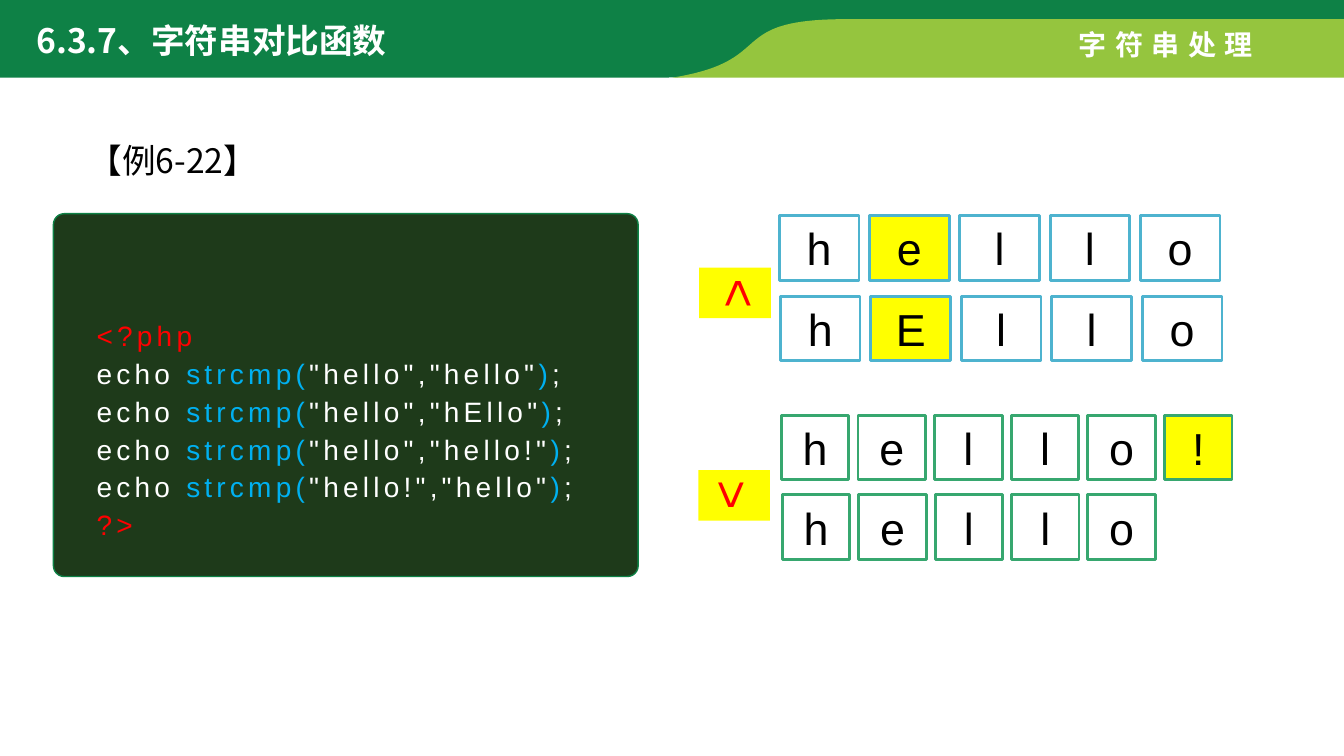
import pptx
import pptx.util
import pptx.oxml.ns
from pptx.dml.color import RGBColor
from pptx.enum.shapes import MSO_SHAPE
from pptx.enum.text import MSO_ANCHOR, MSO_AUTO_SIZE, PP_ALIGN
from lxml import etree

Inches = pptx.util.Inches
Pt = pptx.util.Pt

WHITE = RGBColor(0xFF, 0xFF, 0xFF)
BLACK = RGBColor(0x00, 0x00, 0x00)
RED = RGBColor(0xFF, 0x00, 0x00)
YELLOW = RGBColor(0xFF, 0xFF, 0x00)
SKY = RGBColor(0x00, 0xB0, 0xF0)
GREEN = RGBColor(0x0E, 0x81, 0x46)
LIME = RGBColor(0x95, 0xC5, 0x3E)
DARK = RGBColor(0x1E, 0x3A, 0x1A)
BLUE = RGBColor(0x4E, 0xB3, 0xCF)
MINT = RGBColor(0x37, 0xA7, 0x6F)
CJK = "Noto Sans CJK SC"

TITLE = "6.3.7、字符串对比函数"
TOPIC = "字符串处理"
LABEL = "【例6-22】"
CALLS = [
    '"hello","hello"',
    '"hello","hEllo"',
    '"hello","hello!"',
    '"hello!","hello"',
]
# word, marked index, first left, last left, top, width, line colour
ROWS = [
    ("hello", 1, 7.73, 11.31, 2.14, 0.79, BLUE),
    ("hEllo", 1, 7.74, 11.33, 2.94, 0.79, BLUE),
    ("hello!", 5, 7.75, 11.55, 4.12, 0.67, MINT),
    ("hello", None, 7.76, 10.79, 4.91, 0.67, MINT),
]
SIGNS = [(7.04, 2.55, 270), (7.03, 4.56, 90)]
BANDS = [
    (GREEN, [(0, -0.03), (13.33, -0.03), (13.33, 0.24), (8.27, 0.24), (8.09, 0.28)],
     [(7.27, 0.44), (7.7, 0.77), (6.55, 0.77)], [(0, 0.77)]),
    (LIME, [(8.39, 0.19), (13.33, 0.19), (13.33, 0.77), (6.67, 0.77)],
     [(7.73, 0.6), (7.17, 0.19), (8.39, 0.19)], []),
]


def curve(start, bend, count=40):
    knots = [start] + bend
    points = []
    for i in range(1, count + 1):
        t = i / count
        parts = ((1 - t) ** 3, 3 * t * (1 - t) ** 2, 3 * t * t * (1 - t), t ** 3)
        points.append(tuple(sum(w * k[axis] for w, k in zip(parts, knots))
                            for axis in (0, 1)))
    return points


def paint(shape, fill, line=None, width=1):
    shape.shadow.inherit = False
    shape.fill.solid()
    shape.fill.fore_color.rgb = fill
    if line is None:
        shape.line.fill.background()
    else:
        shape.line.color.rgb = line
        shape.line.width = Pt(width)


def write(shape, lines, size, font="Arial", bold=False, gap=0, wrap=True,
          align=PP_ALIGN.LEFT, anchor=MSO_ANCHOR.TOP, space=None):
    frame = shape.text_frame
    frame.word_wrap = wrap
    frame.auto_size = MSO_AUTO_SIZE.SHAPE_TO_FIT_TEXT
    frame.vertical_anchor = anchor
    for i, runs in enumerate(lines):
        para = frame.add_paragraph() if i else frame.paragraphs[0]
        para.alignment = align
        if space:
            para.line_spacing = space
        for words, color in runs:
            run = para.add_run()
            run.text = words
            run.font.size = Pt(size)
            run.font.bold = bold
            run.font.name = font
            run.font.color.rgb = color
            props = run.font._element
            if gap:
                props.set("spc", str(gap * 100))
            east = etree.SubElement(props, pptx.oxml.ns.qn("a:ea"))
            east.set("typeface", CJK)


deck = pptx.Presentation()
deck.slide_width, deck.slide_height = Inches(13.33), Inches(7.5)
slide = deck.slides.add_slide(deck.slide_layouts[5])
shapes = slide.shapes


def place(left, top, width, height):
    return [Inches(v) for v in (left, top, width, height)]


for color, head, bend, tail in BANDS:
    points = [(Inches(x), Inches(y)) for x, y in head + curve(head[-1], bend) + tail]
    pen = shapes.build_freeform(*points[0], scale=1.0)
    pen.add_line_segments(points[1:], close=True)
    paint(pen.convert_to_shape(), color)

topic = shapes.add_textbox(*place(10.6, 0.22, 2.03, 0.44))
write(topic, [[(TOPIC, WHITE)]], 20, bold=True, gap=6, wrap=False)

title = shapes.title
title.left, title.top, title.width, title.height = place(0.26, 0.15, 3.77, 0.5)
write(title, [[(TITLE, WHITE)]], 24, font=CJK, bold=True)
topic._element.addnext(title._element)

label = shapes.add_textbox(*place(0.78, 1.14, 11.77, 0.61))
write(label, [[(LABEL, BLACK)]], 24, font=CJK, align=PP_ALIGN.JUSTIFY, space=1.5)

panel = shapes.add_shape(MSO_SHAPE.ROUNDED_RECTANGLE, *place(0.53, 2.12, 5.8, 3.6))
panel.adjustments[0] = 0.03
paint(panel, DARK, GREEN)

code = [[("echo ", WHITE), ("strcmp(", SKY), (args, WHITE), (")", SKY), (";", WHITE)]
        for args in CALLS]
code = [[("<?php", RED)]] + code + [[("?>", RED)]]
write(shapes.add_textbox(*place(0.86, 3.07, 5.36, 2.37)), code, 20, gap=3, space=Pt(27))

for word, mark, first, last, top, width, color in ROWS:
    step = (last - first) / (len(word) - 1)
    for i, char in enumerate(word):
        cell = shapes.add_shape(MSO_SHAPE.RECTANGLE,
                                *place(first + i * step, top, width, 0.64))
        paint(cell, YELLOW if i == mark else WHITE, color, 2)
        write(cell, [[(char, BLACK)]], 32, wrap=False,
              align=PP_ALIGN.CENTER, anchor=MSO_ANCHOR.MIDDLE)

for left, top, turn in SIGNS:
    sign = shapes.add_shape(MSO_SHAPE.RECTANGLE, *place(left, top, 0.5, 0.71))
    sign.rotation = turn
    paint(sign, YELLOW)
    write(sign, [[(">", RED)]], 36, wrap=False)

deck.save("out.pptx")
